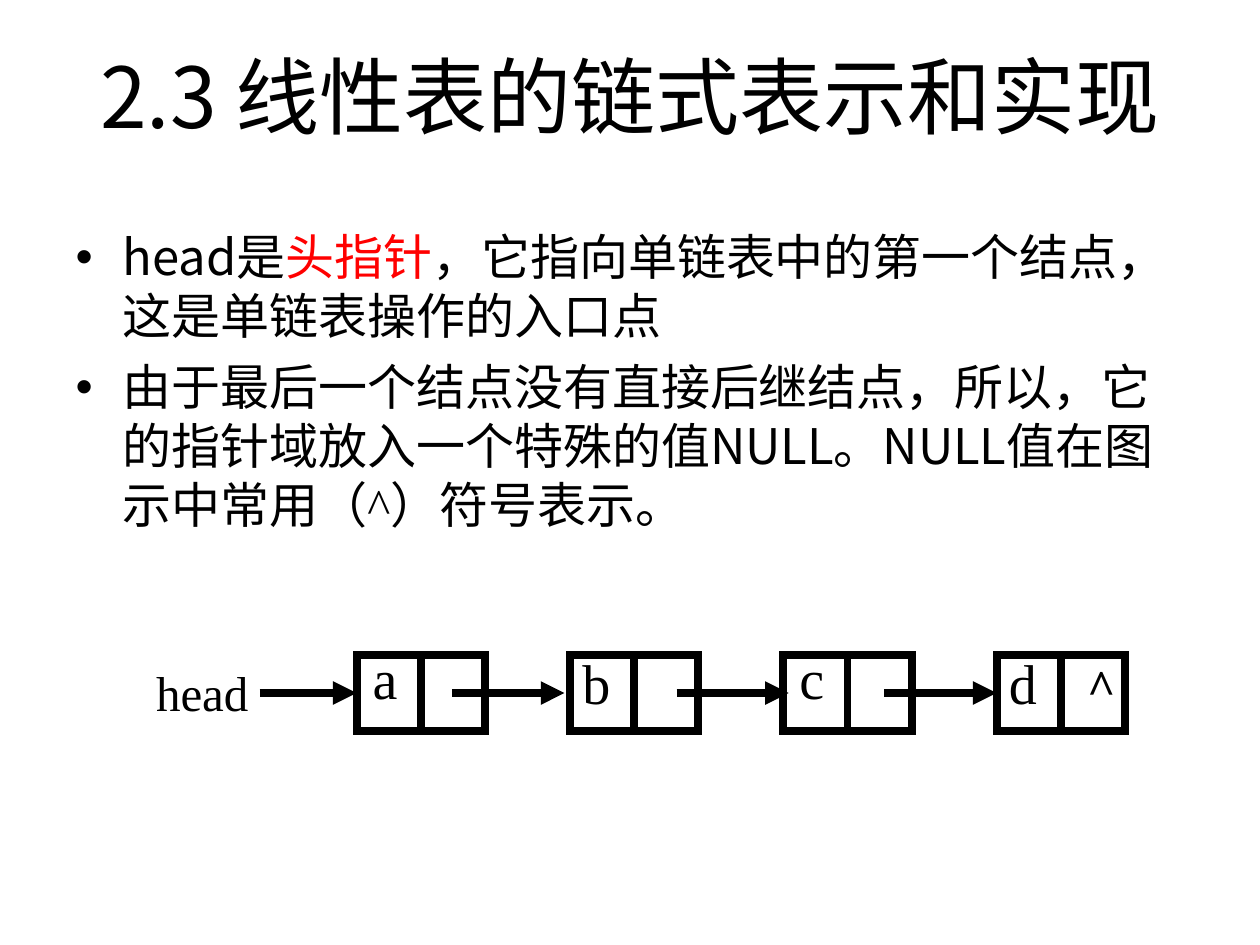
from dataclasses import dataclass

from lxml import etree
from pptx import Presentation
from pptx.dml.color import RGBColor
from pptx.enum.shapes import MSO_CONNECTOR, MSO_SHAPE
from pptx.enum.text import MSO_ANCHOR, MSO_AUTO_SIZE, PP_ALIGN
from pptx.oxml.ns import qn
from pptx.util import Inches, Pt

RECTANGLE = MSO_SHAPE.RECTANGLE
STRAIGHT = MSO_CONNECTOR.STRAIGHT
TOP = MSO_ANCHOR.TOP
NO_FIT = MSO_AUTO_SIZE.NONE
CENTER, LEFT = PP_ALIGN.CENTER, PP_ALIGN.LEFT


@dataclass(frozen=True)
class Theme:
    ink: RGBColor = RGBColor(0, 0, 0)
    accent: RGBColor = RGBColor(255, 0, 0)
    sans: str = "Noto Sans CJK SC"
    serif: str = "Times New Roman"
    title: Pt = Pt(48)
    body: Pt = Pt(28)
    node: Pt = Pt(32)
    stroke: Pt = Pt(4.5)


THEME = Theme()

TITLE = "2.3 线性表的链式表示和实现"
BULLETS = [
    [("head是", {}),
     ("头指针", {"color": THEME.accent}),
     ("，它指向单链表中的第一个结点，这是单链表操作的入口点", {})],
    [("由于最后一个结点没有直接后继结点，所以，它的指针域放入一个特殊的值NULL。NULL值在图示中常用", {}),
     ("（^）", {"name": THEME.serif}),
     ("符号表示。", {})],
]

# Node value, then the shift and rise of its label from the node's corner
NODES = [("a", 0.03, 0.11), ("b", 0, 0.07), ("c", 0.03, 0.11), ("d", 0, 0.07)]
NODE_WIDTH, NODE_HEIGHT = 1.02, 0.6
NODE_PITCH = 5.08 / (len(NODES) - 1)
# Start and end of each pointer, from the left edge of the first node
POINTERS = [(-0.77, 0), (0.76, 1.65), (2.54, 3.43), (4.19, 5.08)]


def add_span(para, text, size, color=THEME.ink, name=THEME.sans, bold=False):
    span = para.add_run()
    span.text = text
    span.font.color.rgb = color
    for key, value in {"size": size, "name": name, "bold": bold}.items():
        setattr(span.font, key, value)
    east_asian = etree.SubElement(span.font._element, qn("a:ea"))
    east_asian.set("typeface", THEME.sans)


def place(shape, left, top, width, height):
    bounds = {"left": left, "top": top, "width": width, "height": height}
    for key, value in bounds.items():
        setattr(shape, key, Inches(value))


def format_frame(frame):
    values = {"word_wrap": True, "auto_size": NO_FIT, "vertical_anchor": TOP}
    for key, value in values.items():
        setattr(frame, key, value)


def fill_title(page, left, top, width, height):
    title = page.shapes.title
    place(title, left, top, width, height)
    format_frame(title.text_frame)
    para = title.text_frame.paragraphs[0]
    para.alignment, para.line_spacing = CENTER, 1.0
    add_span(para, TITLE, THEME.title)


def fill_body(page, left, top, width, height):
    body = page.placeholders[1]
    place(body, left, top, width, height)
    frame = body.text_frame
    format_frame(frame)
    for index, spans in enumerate(BULLETS):
        para = frame.add_paragraph() if index else frame.paragraphs[0]
        para.space_before = Pt(7 if index else 0)
        para.line_spacing = 1.0
        # Keep closing punctuation inside the margin
        para._p.get_or_add_pPr().set("hangingPunct", "0")
        for text, style in spans:
            add_span(para, text, THEME.body, **style)


def add_label(page, left, top, width, text, size, spacing=1.0):
    box = page.shapes.add_textbox(
        Inches(left), Inches(top), Inches(width), Inches(0.91))
    format_frame(box.text_frame)
    para = box.text_frame.paragraphs[0]
    para.alignment, para.line_spacing = LEFT, spacing
    add_span(para, text, size, name=THEME.serif)
    return para


def add_line(page, start_x, start_y, end_x, end_y, arrow=False):
    line = page.shapes.add_connector(
        STRAIGHT, *map(Inches, (start_x, start_y, end_x, end_y)))
    line.line.color.rgb = THEME.ink
    line.line.width = THEME.stroke
    if arrow:
        etree.SubElement(line.line._get_or_add_ln(), qn("a:tailEnd"), type="triangle")
    etree.SubElement(line._element.spPr, qn("a:effectLst"))


def add_node(page, left, top, value, shift, rise):
    cell = page.shapes.add_shape(RECTANGLE, *map(
        Inches, (left, top, NODE_WIDTH, NODE_HEIGHT)))
    cell.shadow.inherit = False
    cell.fill.background()
    cell.line.color.rgb = THEME.ink
    cell.line.width = THEME.stroke
    etree.SubElement(cell.line._get_or_add_ln(), qn("a:miter"), lim="800000")
    middle = left + NODE_WIDTH / 2
    add_line(page, middle, top, middle, top + NODE_HEIGHT)
    return add_label(page, left + shift, top - rise, 1.14, value, THEME.node, 0.96)


def add_linked_list(page, left, top):
    add_label(page, left - 1.69, top + 0.01, 1.25, "head", THEME.body)
    for index, (value, shift, rise) in enumerate(NODES):
        para = add_node(page, left + index * NODE_PITCH, top, value, shift, rise)
    # The last node holds the null mark at a tab stop
    stops = etree.SubElement(para._p.get_or_add_pPr(), qn("a:tabLst"))
    etree.SubElement(stops, qn("a:tab"), pos=str(Inches(0.62)), algn="l")
    add_span(para, "\t^", THEME.body, name=THEME.serif, bold=True)
    # Pointers run at mid height
    middle = top + NODE_HEIGHT / 2
    for start, end in POINTERS:
        add_line(page, left + start, middle, left + end, middle, arrow=True)


def main():
    deck = Presentation()
    deck.slide_width, deck.slide_height = Inches(10), Inches(7.5)
    page = deck.slides.add_slide(deck.slide_layouts[1])
    fill_title(page, 0.5, 0.3, 9, 1.25)
    fill_body(page, 0.5, 1.75, 8.91, 2.63)
    add_linked_list(page, 2.83, 5.2)
    deck.save("out.pptx")


if __name__ == "__main__":
    main()
